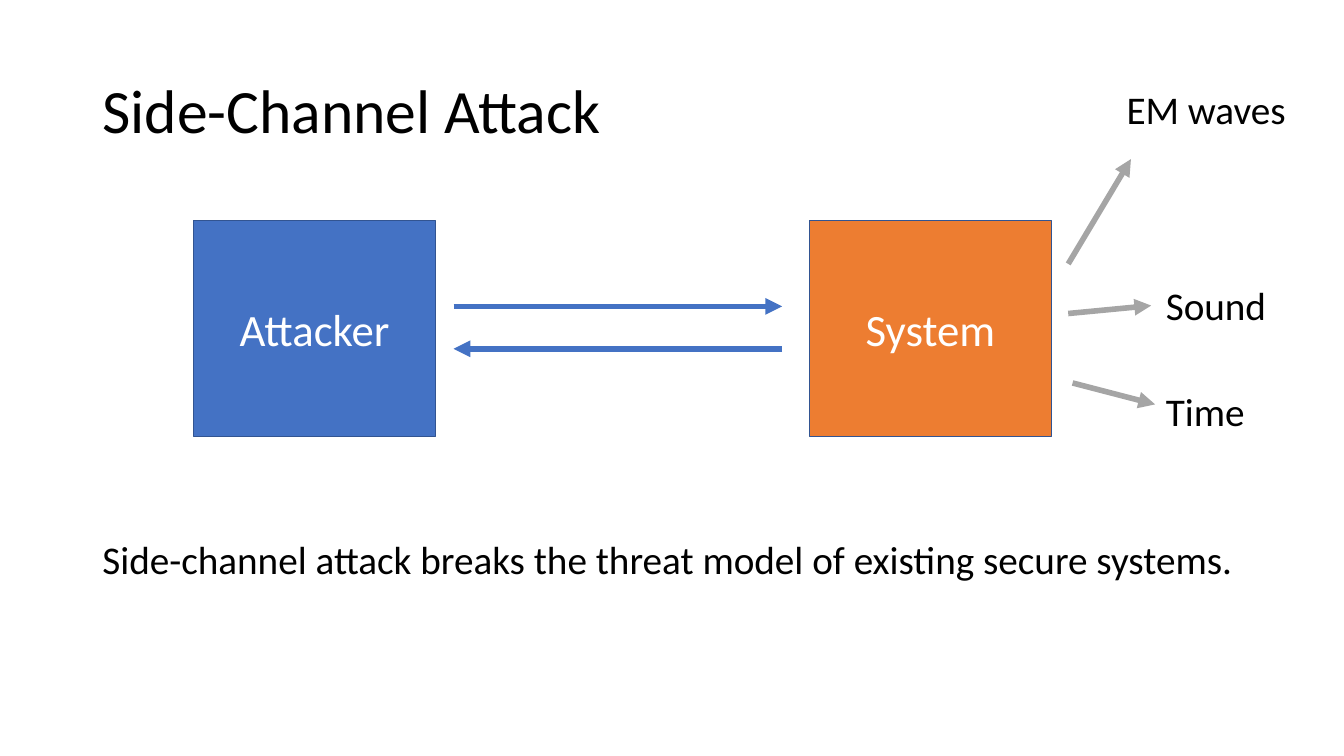
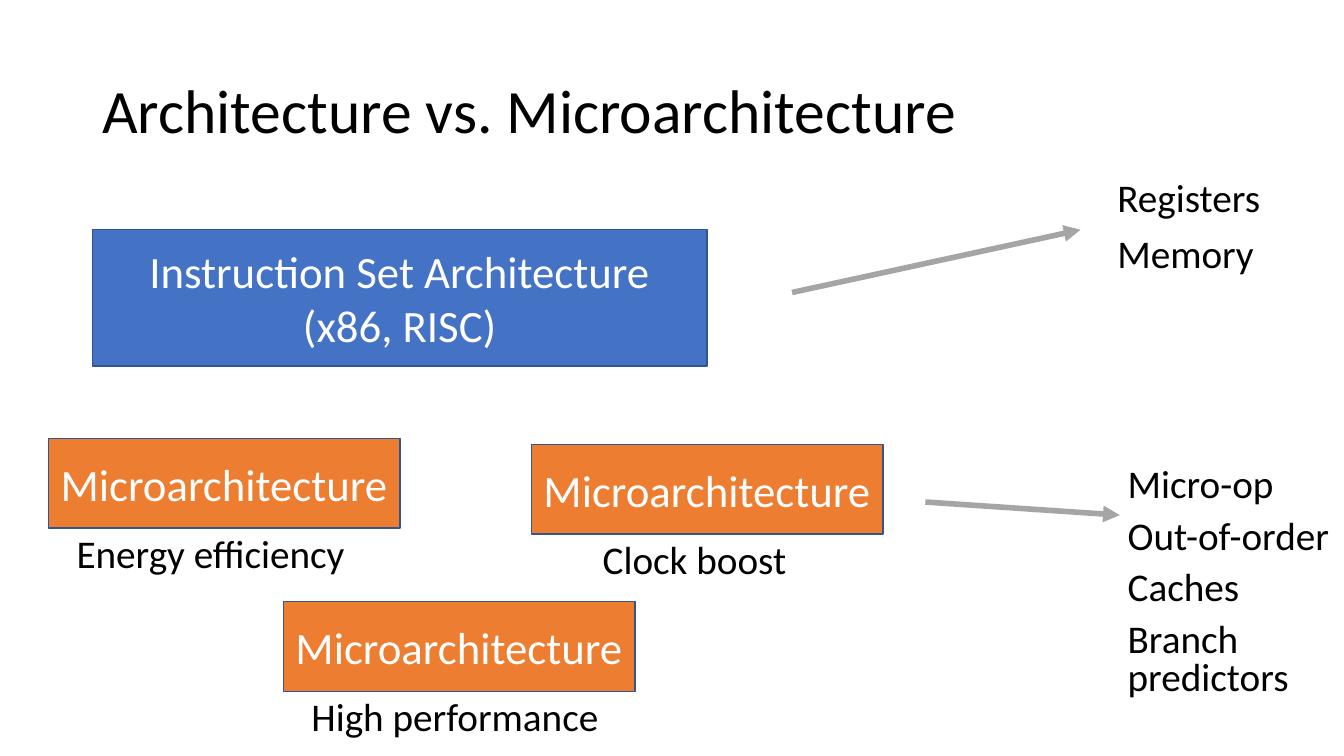
from dataclasses import dataclass
from lxml import etree
from pptx import Presentation
from pptx.dml.color import RGBColor
from pptx.enum.shapes import MSO_CONNECTOR, MSO_SHAPE
from pptx.enum.text import MSO_ANCHOR, PP_ALIGN
from pptx.oxml.ns import qn
from pptx.util import Cm, Pt

RECT = MSO_SHAPE.RECTANGLE
LINE = MSO_CONNECTOR.STRAIGHT
TOP, MIDDLE = MSO_ANCHOR.TOP, MSO_ANCHOR.MIDDLE
LEFT, CENTER = PP_ALIGN.LEFT, PP_ALIGN.CENTER


@dataclass(frozen=True)
class Theme:
    font: str = "Calibri"
    ink: str = "000000"
    white: str = "FFFFFF"
    blue: str = "4472C4"
    orange: str = "ED7D31"
    gray: str = "A5A5A5"
    edge: str = "325491"
    title: int = 44
    label: int = 32
    body: int = 28
    gap: int = 10
    thin: int = 1
    thick: int = 4


theme = Theme()


def write(slide, place, lines, size=theme.body, fill=None, pitch=0.9, anchor=TOP):
    spot = [Cm(n) for n in place]
    if fill:
        shape = slide.shapes.add_shape(RECT, *spot)
        shape.shadow.inherit = False
        shape.fill.solid()
        shape.fill.fore_color.rgb = RGBColor.from_string(fill)
        shape.line.color.rgb = RGBColor.from_string(theme.edge)
        shape.line.width = Pt(theme.thin)
    else:
        shape = slide.shapes.add_textbox(*spot)
    frame = shape.text_frame
    frame.word_wrap = True
    frame.vertical_anchor = MIDDLE if fill else anchor
    for i, line in enumerate(lines):
        para = frame.add_paragraph() if i else frame.paragraphs[0]
        para.alignment = CENTER if fill else LEFT
        para.line_spacing = 1.0 if fill else pitch
        para.space_before = Pt(theme.gap if i and not fill else 0)
        run = para.add_run()
        run.text = line
        run.font.name = theme.font
        run.font.size = Pt(size)
        run.font.color.rgb = RGBColor.from_string(theme.white if fill else theme.ink)


def arrow(slide, ends, color):
    link = slide.shapes.add_connector(LINE, *[Cm(n) for n in ends])
    link.line.color.rgb = RGBColor.from_string(color)
    link.line.width = Pt(theme.thick)
    etree.SubElement(link.line._get_or_add_ln(), qn("a:tailEnd"), type="triangle")
    etree.SubElement(link._element.spPr, qn("a:effectLst"))


deck = Presentation()
deck.slide_width, deck.slide_height = Cm(33.87), Cm(19.05)
slides = []
for title in ("Side-Channel Attack", "Architecture vs. Microarchitecture"):
    slide = deck.slides.add_slide(deck.slide_layouts[6])
    write(slide, (2.33, 1.02, 29.21, 3.68), [title], theme.title, anchor=MIDDLE)
    slides.append(slide)
attack, design = slides

write(attack, (2.33, 13.49, 29.21, 2.16),
      ["Side-channel attack breaks the threat model of existing secure systems."])
for name, left, fill in (("Attacker", 4.88, theme.blue), ("System", 20.4, theme.orange)):
    write(attack, (left, 5.56, 6.1, 5.44), [name], theme.label, fill)
near, far = 11.43, 19.71
arrow(attack, (near, 7.72, far, 7.72), theme.blue)
arrow(attack, (far, 8.79, near, 8.79), theme.blue)

leaks = (
    ("EM waves", 28.14, 2.16, (26.92, 6.65, 28.5, 4.01)),
    ("Sound", 29.13, 7.11, (26.92, 7.9, 29.01, 7.7)),
    ("Time", 29.13, 9.78, (27.03, 9.65, 29.11, 10.19)),
)
for name, left, top, ends in leaks:
    arrow(attack, ends, theme.gray)
    write(attack, (left, top, 4.7, 1.37), [name])

write(design, (2.33, 5.79, 15.49, 3.43),
      ["Instruction Set Architecture", "(x86, RISC)"], theme.label, theme.blue)
cores = (
    ("Energy efficiency", 1.22, 11.05, 0.46),
    ("High performance", 7.14, 15.16, 0.46),
    ("Clock boost", 13.39, 11.2, 1.55),
)
for name, left, top, shift in cores:
    write(design, (left, top, 8.86, 2.26), ["Microarchitecture"], theme.label, theme.orange)
    write(design, (left + shift, top + 2.3, 8.41, 1.4), [name])

parts = (
    (("Registers", "Memory"), (27.91, 4.37, 5.96, 3), 0.9, (19.96, 7.37, 27.23, 5.79)),
    (("Micro-op", "Out-of-order", "Caches", "Branch predictors"),
     (28.17, 11.68, 5.7, 6.35), 0.8, (23.32, 12.65, 28.22, 12.98)),
)
for names, place, pitch, ends in parts:
    arrow(design, ends, theme.gray)
    write(design, place, names, pitch=pitch)

deck.save("out.pptx")
